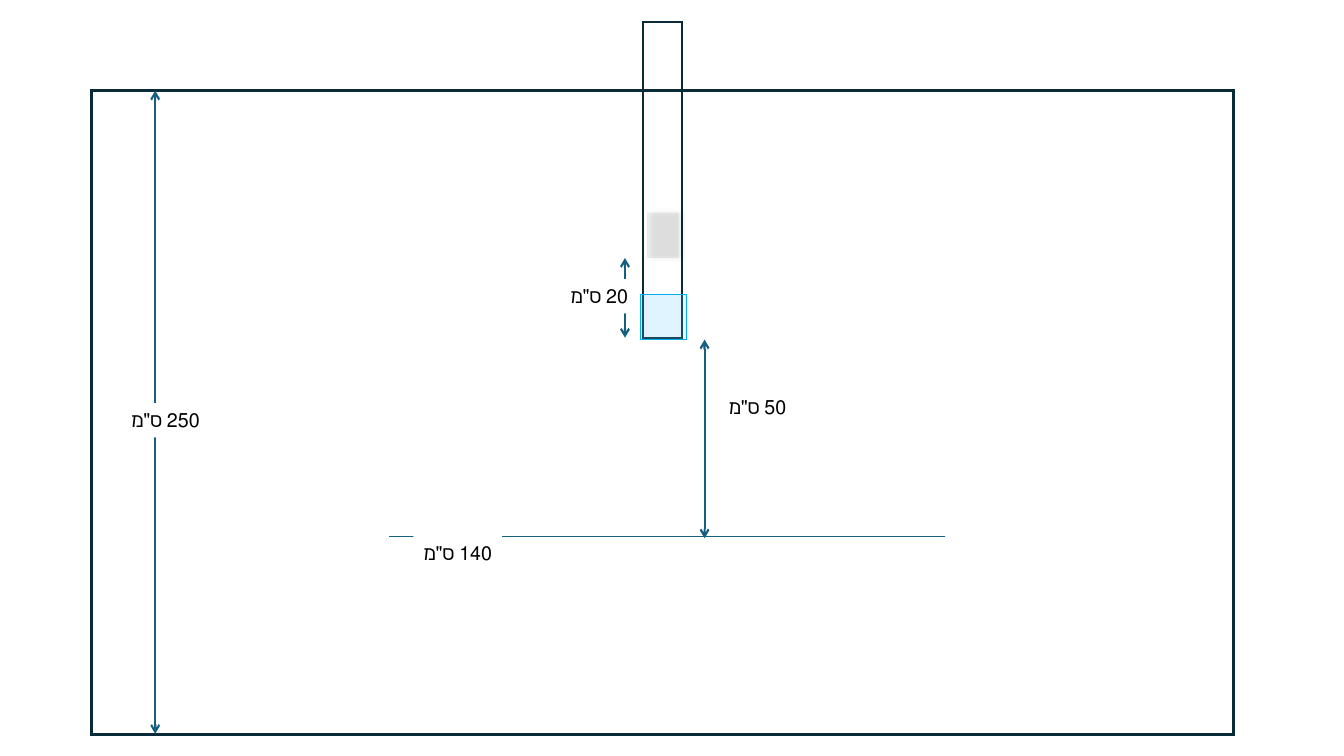
from dataclasses import dataclass

from lxml import etree
from pptx import Presentation
from pptx import util as u
from pptx.dml.color import RGBColor
from pptx.enum import shapes, text
from pptx.oxml import ns

HEIGHT = u.Inches(7.5)
WIDTH = HEIGHT * 16 // 9
ROWS = 75
COLUMNS = ROWS * 16 / 9


@dataclass(frozen=True)
class Theme:
    outline: str = "092A39"
    measure: str = "156082"
    water: str = "66CCFF"
    water_edge: str = "00B0F0"
    weight: str = "A6A6A6"
    label: str = "000000"
    paper: str = "FFFFFF"
    font: str = "Karla"
    label_size: int = 14
    thin: float = 0.25
    medium: float = 1.5
    thick: float = 2.25


THEME = Theme()


def column(count):
    return round(count * WIDTH / COLUMNS)


def row(count):
    return round(count * HEIGHT / ROWS)


def add_element(parent, tag, **attributes):
    return etree.SubElement(parent, ns.qn(tag), attributes)


def set_opacity(shape, percent):
    color = shape.fill._xPr.find(ns.qn("a:solidFill"))[0]
    add_element(color, "a:alpha", val=str(percent * 1000))


def add_box(slide, left, top, width, height, fill=None, opacity=None,
            line=None, weight=THEME.thin):
    box = slide.shapes.add_shape(
        shapes.MSO_SHAPE.RECTANGLE,
        column(left), row(top), column(width), row(height))
    box.shadow.inherit = False
    if fill:
        box.fill.solid()
        box.fill.fore_color.rgb = RGBColor.from_string(fill)
        if opacity:
            set_opacity(box, opacity)
    else:
        box.fill.background()
    if line:
        box.line.color.rgb = RGBColor.from_string(line)
        box.line.width = u.Pt(weight)
        add_element(box.line._get_or_add_ln(), "a:miter", lim="800000")
    else:
        box.line.fill.background()
    return box


def cast_shadow(shape, opacity, blur, distance):
    effects = shape._element.spPr.find(ns.qn("a:effectLst"))
    shadow = add_element(effects, "a:outerShdw", blurRad=str(u.Pt(blur)),
                         dist=str(u.Pt(distance)), dir="0", algn="l",
                         rotWithShape="0")
    color = add_element(shadow, "a:srgbClr", val="000000")
    add_element(color, "a:alpha", val=str(opacity * 1000))


def add_line(slide, start, end, weight=THEME.medium, arrows=False):
    line = slide.shapes.add_connector(
        shapes.MSO_CONNECTOR.STRAIGHT,
        column(start[0]), row(start[1]), column(end[0]), row(end[1]))
    line.line.color.rgb = RGBColor.from_string(THEME.measure)
    line.line.width = u.Pt(weight)
    if arrows:
        stroke = line.line._get_or_add_ln()
        add_element(stroke, "a:headEnd", type="arrow")
        add_element(stroke, "a:tailEnd", type="arrow")
    add_element(line._element.spPr, "a:effectLst")


def add_height(slide, at, top, bottom):
    add_line(slide, (at, top), (at, bottom), arrows=True)


def add_label(slide, wording, left, top, width, height=3.4,
              size=THEME.label_size, color=THEME.label, font=THEME.font):
    label = slide.shapes.add_textbox(
        column(left), row(top), column(width), row(height))
    label.fill.solid()
    label.fill.fore_color.rgb = RGBColor.from_string(THEME.paper)
    frame = label.text_frame
    frame.word_wrap = False
    frame.auto_size = text.MSO_AUTO_SIZE.SHAPE_TO_FIT_TEXT
    frame.margin_left = 0
    paragraph = frame.paragraphs[0]
    paragraph.alignment = text.PP_ALIGN.RIGHT
    paragraph._p.get_or_add_pPr().set("rtl", "1")
    run = paragraph.add_run()
    run.text = wording
    run.font.size = u.Pt(size)
    run.font.name = font
    run.font.color.rgb = RGBColor.from_string(color)
    run.font._element.set("lang", "he-IL")


def draw_tube(slide):
    add_box(slide, 63.8, 2.2, 3.9, 31.3,
            line=THEME.outline, weight=THEME.medium)
    add_box(slide, 63.5, 29.2, 4.6, 4.5, fill=THEME.water, opacity=20,
            line=THEME.water_edge)
    float_weight = add_box(slide, 64.2, 21.1, 3.1, 4.5,
                           fill=THEME.weight, opacity=20)
    cast_shadow(float_weight, opacity=40, blur=4, distance=3)


def main():
    deck = Presentation()
    deck.slide_width, deck.slide_height = WIDTH, HEIGHT
    slide = deck.slides.add_slide(deck.slide_layouts[6])

    draw_tube(slide)
    add_line(slide, (93.8, 53.2), (38.6, 53.2), weight=THEME.thin)
    add_box(slide, 9.1, 9, 113.3, 63.9,
            line=THEME.outline, weight=THEME.thick)

    add_height(slide, 15.4, 9, 72.8)
    add_label(slide, '250 ס"מ', 12, 40, 8.8)
    add_height(slide, 62, 25.6, 33.5)
    add_label(slide, '20 ס"מ', 55.6, 27.7, 7.7)
    add_height(slide, 69.9, 33.7, 53.4)
    add_label(slide, '50 ס"מ', 71.3, 38.7, 7.7)
    add_label(slide, '140 ס"מ', 41, 53.2, 8.8)

    deck.save("out.pptx")


if __name__ == "__main__":
    main()
